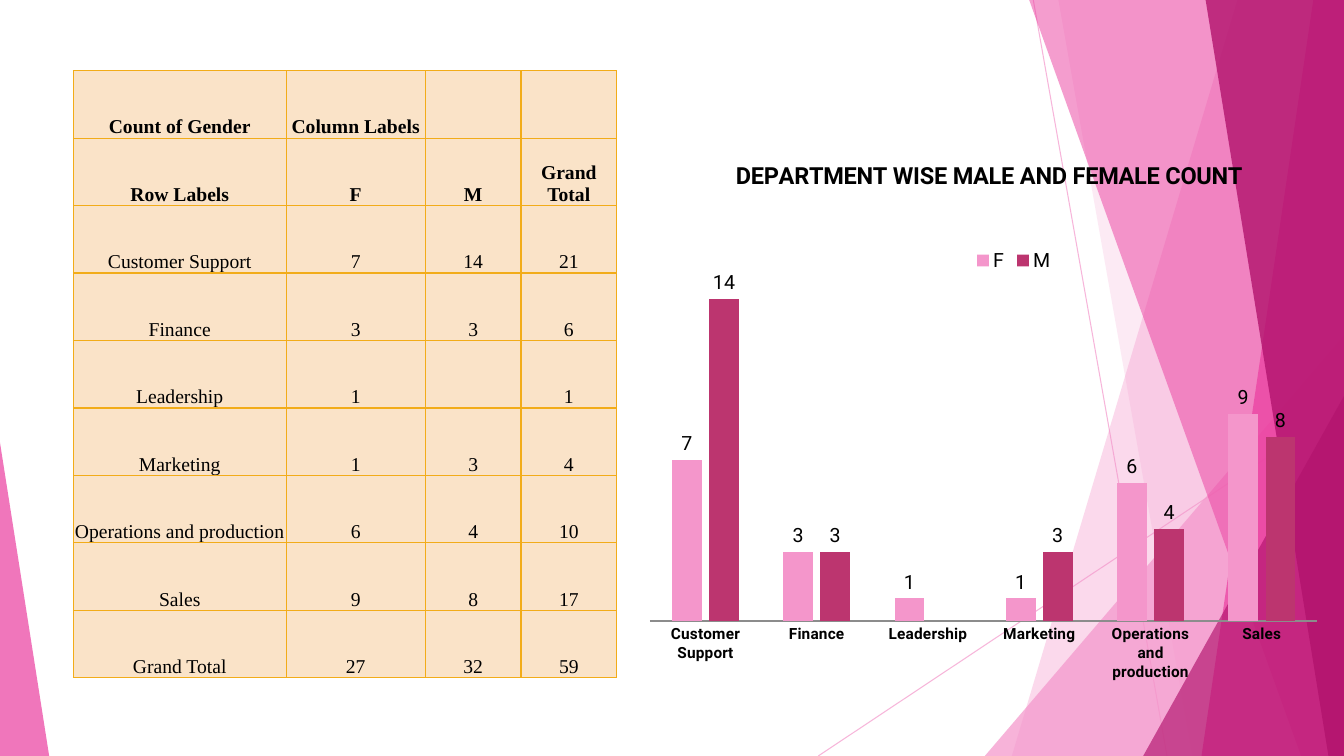
from lxml.etree import SubElement
from pptx import Presentation
from pptx.chart.data import CategoryChartData
from pptx.dml.color import RGBColor
from pptx.enum.chart import XL_CHART_TYPE, XL_LABEL_POSITION, XL_LEGEND_POSITION, XL_TICK_MARK
from pptx.enum.shapes import MSO_CONNECTOR, MSO_SHAPE
from pptx.enum.text import MSO_ANCHOR, PP_ALIGN
from pptx.oxml.ns import qn
from pptx.util import Cm, Pt

COLORS = {
    "white": "FFFFFF",
    "black": "000000",
    "light pink": "F496CB",
    "pink": "EB3D9F",
    "magenta": "B2136D",
    "male": "BC356F",
    "cream": "FAE3C8",
    "gold": "F2AC19",
    "axis": "8C8C8C",
}
SLIDE_WIDTH, SLIDE_HEIGHT = 33.87, 19.05
GENDER_COUNTS = {
    "Customer Support": (7, 14),
    "Finance": (3, 3),
    "Leadership": (1, None),
    "Marketing": (1, 3),
    "Operations and production": (6, 4),
    "Sales": (9, 8),
}


def color(name):
    return RGBColor.from_string(COLORS[name])


def set_opacity(shape, percent):
    properties = shape._element.spPr
    for tint in properties.iter(qn("a:srgbClr")):
        SubElement(tint, qn("a:alpha"), val=str(percent * 1000))


def paint(shape, tint, opacity):
    shape.shadow.inherit = False
    shape.fill.solid()
    shape.fill.fore_color.rgb = color(tint)
    shape.line.fill.background()
    set_opacity(shape, opacity)


def add_ray(slide, start, end):
    ray = slide.shapes.add_connector(MSO_CONNECTOR.STRAIGHT, *map(Cm, start + end))
    ray.line.color.rgb = color("light pink")
    ray.line.width = Pt(0.75)
    set_opacity(ray, 70)
    SubElement(ray._element.spPr, qn("a:effectLst"))


def add_band(slide, top_left, bottom_left, tint, opacity):
    outline = slide.shapes.build_freeform(Cm(top_left), Cm(-0.02))
    corners = [(SLIDE_WIDTH, -0.02), (SLIDE_WIDTH, SLIDE_HEIGHT), (bottom_left, SLIDE_HEIGHT)]
    outline.add_line_segments([(Cm(x), Cm(y)) for x, y in corners], close=True)
    paint(outline.convert_to_shape(), tint, opacity)


def add_wedge(slide, left, top, width, apex, tint, opacity):
    wedge = slide.shapes.add_shape(
        MSO_SHAPE.ISOSCELES_TRIANGLE, Cm(left), Cm(top), Cm(width), Cm(SLIDE_HEIGHT - top)
    )
    wedge.adjustments[0] = apex
    paint(wedge, tint, opacity)


def add_backdrop(slide):
    add_ray(slide, (26.04, 0), (29.41, SLIDE_HEIGHT))
    add_ray(slide, (SLIDE_WIDTH, 10.24), (20.62, SLIDE_HEIGHT))
    add_band(slide, 31.19, 25.5, "light pink", 36)
    add_band(slide, 26.67, 30.05, "light pink", 20)
    add_wedge(slide, 24.82, 8.46, 9.05, 1, "light pink", 72)
    add_band(slide, 25.93, 32.79, "pink", 50)
    add_band(slide, 33.1, 30.28, "pink", 70)
    add_band(slide, 30.38, 33.48, "magenta", 80)
    add_wedge(slide, 28.81, 9.98, 5.06, 1, "magenta", 66)
    add_wedge(slide, 0, 11.15, 1.24, 0, "pink", 70)


def add_borders(cell):
    properties = cell._tc.get_or_add_tcPr()
    for side in ("a:lnL", "a:lnR", "a:lnT", "a:lnB"):
        border = SubElement(properties, qn(side), w=str(Pt(1)))
        border_fill = SubElement(border, qn("a:solidFill"))
        SubElement(border_fill, qn("a:srgbClr"), val=COLORS["gold"])


def fill_cell(cell, content, bold):
    add_borders(cell)
    cell.fill.solid()
    cell.fill.fore_color.rgb = color("cream")
    cell.margin_left = cell.margin_right = cell.margin_top = cell.margin_bottom = 0
    cell.vertical_anchor = MSO_ANCHOR.BOTTOM
    if content is None:
        return
    paragraph = cell.text_frame.paragraphs[0]
    paragraph.text = str(content)
    paragraph.alignment = PP_ALIGN.CENTER
    font = paragraph.runs[0].font
    font.name = "Times New Roman"
    font.size = Pt(14)
    font.bold = bold
    font.color.rgb = color("black")


def count_rows():
    rows = [
        ("Count of Gender", "Column Labels", None, None),
        ("Row Labels", "F", "M", "Grand Total"),
    ]
    for department, (female, male) in GENDER_COUNTS.items():
        rows.append((department, female, male, female + (male or 0)))
    totals = [sum(count or 0 for count in counts) for counts in zip(*GENDER_COUNTS.values())]
    rows.append(("Grand Total", *totals, sum(totals)))
    return rows


def add_count_table(slide):
    rows = count_rows()
    widths = (5.36, 3.51, 2.41, 2.41)
    row_height = 1.7
    counts = slide.shapes.add_table(
        len(rows), len(widths), Cm(1.85), Cm(1.78), Cm(sum(widths)), Cm(row_height * len(rows))
    ).table
    counts.first_row = counts.horz_banding = False
    for column, width in zip(counts.columns, widths):
        column.width = Cm(width)
    for row_index, row in enumerate(rows):
        counts.rows[row_index].height = Cm(row_height)
        for column_index, content in enumerate(row):
            fill_cell(counts.cell(row_index, column_index), content, row_index < 2)


def place(part, index, **settings):
    for previous in part.findall(qn("c:layout")):
        part.remove(previous)
    layout = part.makeelement(qn("c:layout"))
    part.insert(index, layout)
    manual = SubElement(layout, qn("c:manualLayout"))
    for setting, value in settings.items():
        SubElement(manual, qn(f"c:{setting}"), val=str(value))


def format_title(chart):
    chart.has_title = True
    heading = chart.chart_title.text_frame.paragraphs[0]
    heading.text = "DEPARTMENT WISE MALE AND FEMALE COUNT"
    font = heading.runs[0].font
    font.name = "Roboto"
    font.size = Pt(16.8)
    font.bold = True
    font.color.rgb = color("black")
    place(chart.chart_title._element, 1, xMode="edge", yMode="edge", x=0.13, y=0.04)


def format_axes(chart):
    departments = chart.category_axis
    departments.major_tick_mark = XL_TICK_MARK.NONE
    departments.tick_labels.font.size = Pt(11)
    departments.tick_labels.font.bold = True
    departments.format.line.color.rgb = color("axis")
    departments.format.line.width = Pt(1.25)
    headcount = chart.value_axis
    headcount.visible = False
    headcount.has_major_gridlines = False
    headcount.minimum_scale = 0
    headcount.maximum_scale = 16


def add_count_chart(slide):
    data = CategoryChartData()
    data.categories = list(GENDER_COUNTS)
    for gender, counts in zip("FM", zip(*GENDER_COUNTS.values())):
        data.add_series(gender, counts)
    chart = slide.shapes.add_chart(
        XL_CHART_TYPE.COLUMN_CLUSTERED, Cm(16.13), Cm(3.38), Cm(17.73), Cm(13.89), data
    ).chart
    chart.font.name = "Roboto"
    chart.font.size = Pt(14)
    chart.font.color.rgb = color("black")
    format_title(chart)
    format_axes(chart)
    chart.has_legend = True
    chart.legend.position = XL_LEGEND_POSITION.TOP
    chart.legend.include_in_layout = False
    place(chart.legend._element, 1, xMode="edge", yMode="edge", x=0.47, y=0.2)
    place(chart._chartSpace.chart.plotArea, 0, layoutTarget="inner", xMode="edge", yMode="edge",
          x=0.014, y=0.215, w=0.949, h=0.669)
    columns = chart.plots[0]
    columns.vary_by_categories = False
    columns.gap_width = 150
    columns.overlap = -25
    for gender, tint in zip(columns.series, ("light pink", "male")):
        gender.format.fill.solid()
        gender.format.fill.fore_color.rgb = color(tint)
        gender.data_labels.show_value = True
        gender.data_labels.position = XL_LABEL_POSITION.OUTSIDE_END


def main():
    presentation = Presentation()
    presentation.slide_width = Cm(SLIDE_WIDTH)
    presentation.slide_height = Cm(SLIDE_HEIGHT)
    slide = presentation.slides.add_slide(presentation.slide_layouts[6])
    slide.background.fill.solid()
    slide.background.fill.fore_color.rgb = color("white")
    add_backdrop(slide)
    add_count_table(slide)
    add_count_chart(slide)
    presentation.save("out.pptx")


if __name__ == "__main__":
    main()
